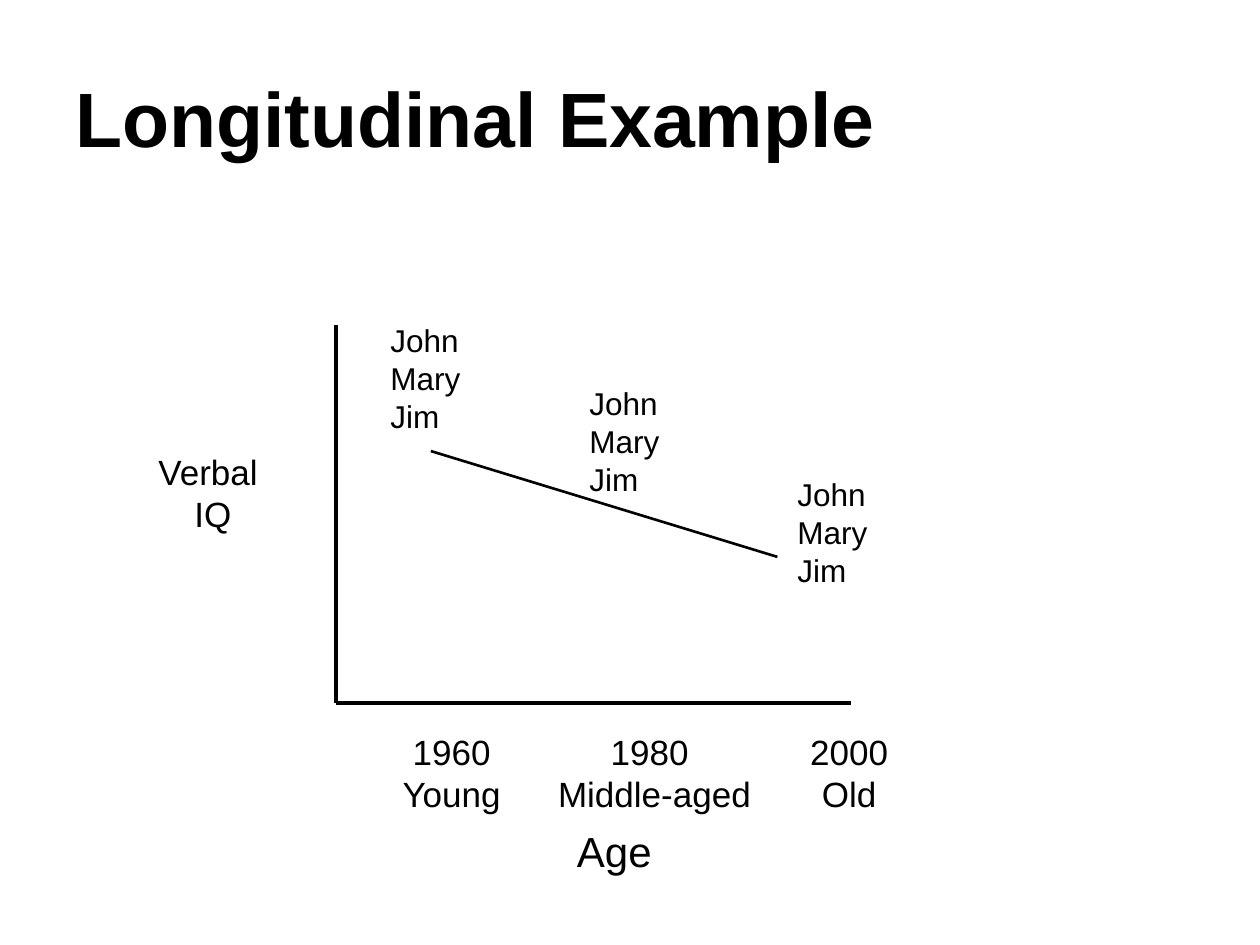
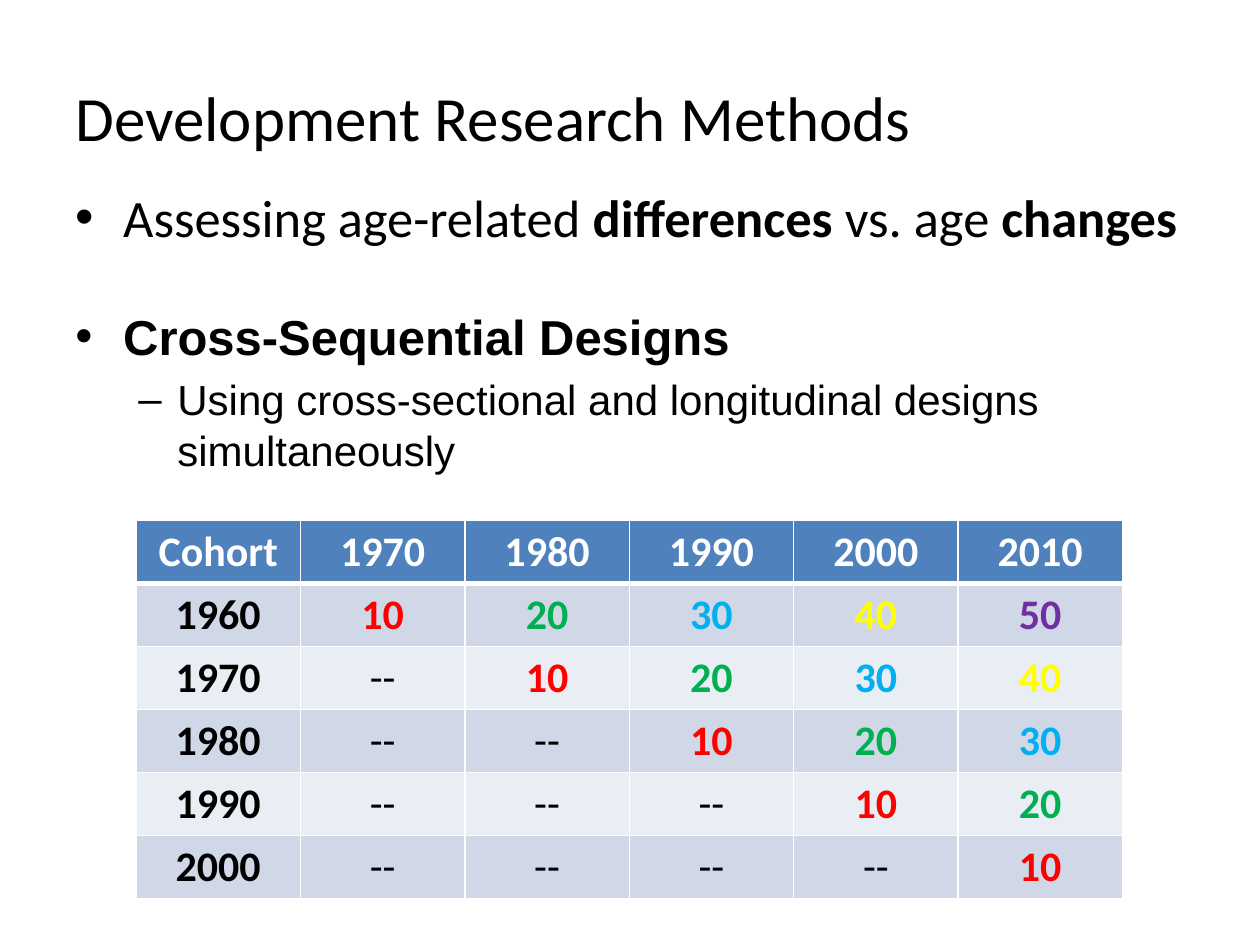
from lxml.etree import SubElement
from pptx import Presentation
from pptx.dml.color import RGBColor
from pptx.enum.shapes import MSO_CONNECTOR
from pptx.enum.text import MSO_ANCHOR, PP_ALIGN as ALIGN
from pptx.oxml.ns import qn
from pptx.util import Inches, Pt

COLORS = {"text": "000000", "white": "FFFFFF", "header": "4F81BD",
          "odd row": "D0D8E8", "even row": "E9EDF4"}
AGE_COLORS = {10: "FF0000", 20: "00B050", 30: "00B0F0", 40: "FFFF00", 50: "7030A0"}
TITLE_ONLY = 5
PARTICIPANTS = ["John", "Mary", "Jim"]


def rgb(code):
    """Turn a hex string into a colour."""
    return RGBColor.from_string(code)


def write(paragraph, text, size=24, font="Arial", color=COLORS["text"], bold=False, align=ALIGN.LEFT):
    """Add one formatted run to a paragraph."""
    paragraph.alignment = align
    run = paragraph.add_run()
    run.text = text
    run.font.size = Pt(size)
    run.font.name = font
    run.font.bold = bold
    run.font.color.rgb = rgb(color)


def add_titled_slide(deck, title, **style):
    """Add a slide with its title in the shared place."""
    slide = deck.slides.add_slide(deck.slide_layouts[TITLE_ONLY])
    heading = slide.shapes.title
    heading.left, heading.top, heading.width, heading.height = map(Inches, (0.5, 0.3, 9, 1.25))
    heading.text_frame.vertical_anchor = MSO_ANCHOR.MIDDLE
    write(heading.text_frame.paragraphs[0], title, **style)
    return slide


def add_frame(slide, place, wrap=True):
    """Add a text box and return its text frame."""
    frame = slide.shapes.add_textbox(*map(Inches, place)).text_frame
    frame.word_wrap = wrap
    return frame


def add_label(slide, place, lines, wrap=False, **style):
    """Add a label with one paragraph for each line."""
    frame = add_frame(slide, place, wrap)
    for index, line in enumerate(lines):
        paragraph = frame.add_paragraph() if index else frame.paragraphs[0]
        write(paragraph, line, **style)


def add_line(slide, start, end, width):
    """Draw a straight black line without a shadow."""
    line = slide.shapes.add_connector(MSO_CONNECTOR.STRAIGHT, *map(Inches, (*start, *end)))
    line.line.color.rgb = rgb(COLORS["text"])
    line.line.width = Pt(width)
    SubElement(line._element.spPr, qn("a:effectLst"))


def set_bullet(paragraph, mark, indent, hanging):
    """Give a paragraph a bullet and a hanging indent."""
    properties = paragraph._p.get_or_add_pPr()
    properties.set("marL", str(Inches(indent)))
    properties.set("indent", str(-Inches(hanging)))
    SubElement(properties, qn("a:buFont"), typeface="Arial")
    SubElement(properties, qn("a:buChar"), char=mark)


def set_borders(cell, top, bottom):
    """Outline a cell in white with the given top and bottom widths."""
    properties = cell._tc.get_or_add_tcPr()
    for side, width in {"L": 1, "R": 1, "T": top, "B": bottom}.items():
        border = SubElement(properties, qn(f"a:ln{side}"), w=str(Pt(width)))
        fill = SubElement(border, qn("a:solidFill"))
        SubElement(fill, qn("a:srgbClr"), val=COLORS["white"])


def fill_cell(cell, text, background, color, bold=True, top=1, bottom=1):
    """Write and format one table cell."""
    set_borders(cell, top, bottom)
    cell.fill.solid()
    cell.fill.fore_color.rgb = rgb(background)
    write(cell.text_frame.paragraphs[0], text, font="Calibri", color=color, bold=bold, align=ALIGN.CENTER)


def add_cohort_table(slide, cohorts, years):
    """Tabulate the age of each cohort in each test year."""
    columns, rows = len(years) + 1, len(cohorts) + 1
    frame = slide.shapes.add_table(rows, columns, *map(Inches, (1.08, 4.13, 7.83, 3)))
    table = frame.table
    for column, heading in enumerate(["Cohort", *years]):
        fill_cell(table.cell(0, column), str(heading), COLORS["header"], COLORS["white"], bottom=3)
    for row, cohort in enumerate(cohorts, 1):
        background = COLORS["odd row" if row % 2 else "even row"]
        top = 3 if row == 1 else 1
        fill_cell(table.cell(row, 0), str(cohort), background, COLORS["text"], top=top)
        for column, year in enumerate(years, 1):
            age = year - cohort
            tested = age > 0
            fill_cell(table.cell(row, column), str(age) if tested else "--", background,
                      AGE_COLORS.get(age, COLORS["text"]), bold=tested, top=top)


def build_longitudinal(deck):
    """Build the slide that follows one group through three ages."""
    slide = add_titled_slide(deck, "Longitudinal Example", size=44, bold=True)
    origin = (2.67, 5.58)
    add_line(slide, (2.67, 2.58), origin, 2.25)
    add_line(slide, origin, (6.75, 5.58), 2.25)
    add_line(slide, (3.42, 3.58), (6.17, 4.42), 1.5)
    add_label(slide, (1.15, 3.53, 1.08, 0.77), ["Verbal ", "IQ"], size=20, align=ALIGN.CENTER)
    add_label(slide, (4, 6.5, 1.75, 0.17), ["Age"], wrap=True, align=ALIGN.CENTER)
    for left, width, year, stage in [(3.08, 1.01, "1960", "Young"),
                                     (4.33, 1.73, "1980 ", "Middle-aged"),
                                     (6.33, 0.82, "2000", "Old")]:
        add_label(slide, (left, 5.75, width, 0.77), [year, stage], size=20, align=ALIGN.CENTER)
    for place, wrap in [((3, 2.5, 0.76, 1), False), ((4.58, 3, 1, 1.31), True),
                        ((6.23, 3.72, 0.85, 1.31), True)]:
        add_label(slide, place, PARTICIPANTS, wrap=wrap, size=18)


def build_cross_sequential(deck):
    """Build the slide that explains cross-sequential designs."""
    slide = add_titled_slide(deck, "Development Research Methods", size=36, font="Calibri")
    aim = add_frame(slide, (0.5, 1.42, 9, 1.59)).paragraphs[0]
    set_bullet(aim, "•", 0.38, 0.38)
    for text, bold in [("Assessing age-related ", False), ("differences", True),
                       (" vs. age ", False), ("changes", True)]:
        write(aim, text, size=30, font="Calibri", bold=bold)
    design_frame = add_frame(slide, (0.5, 2.38, 9.33, 4.75))
    design = design_frame.paragraphs[0]
    set_bullet(design, "•", 0.38, 0.38)
    write(design, "Cross-Sequential Designs", size=28, bold=True)
    detail = design_frame.add_paragraph()
    detail.level = 1
    detail.space_before = Pt(5)
    set_bullet(detail, "–", 0.81, 0.31)
    write(detail, "Using cross-sectional and longitudinal designs simultaneously")
    add_cohort_table(slide, range(1960, 2001, 10), range(1970, 2011, 10))


def main():
    """Build and save both slides."""
    deck = Presentation()
    deck.slide_width, deck.slide_height = Inches(10), Inches(7.5)
    build_longitudinal(deck)
    build_cross_sequential(deck)
    deck.save("out.pptx")


if __name__ == "__main__":
    main()
